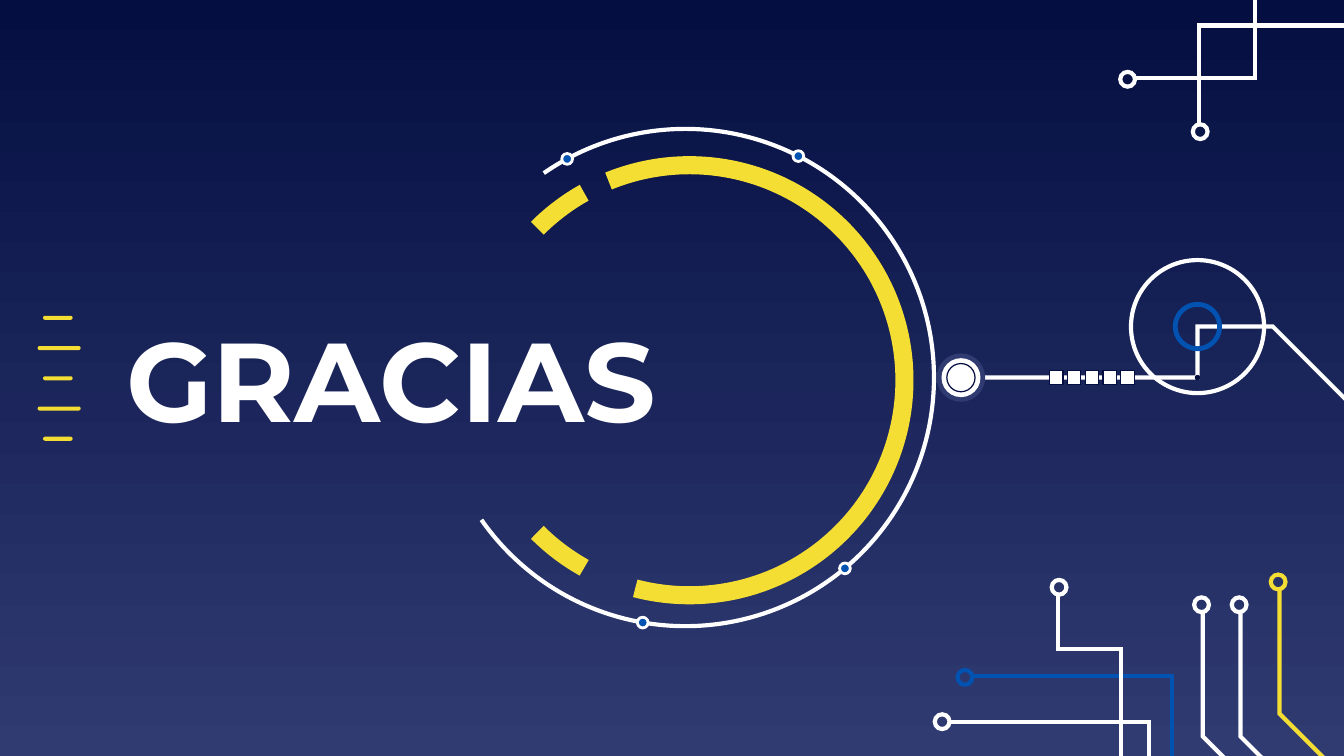
from math import cos, radians, sin

from lxml import etree
from pptx import Presentation
from pptx.dml.color import RGBColor
from pptx.enum.shapes import MSO_SHAPE as Shape
from pptx.enum.text import MSO_ANCHOR as Anchor
from pptx.oxml.ns import qn
from pptx.util import Inches, Pt

THEME = {
    "night": "040E41", "dusk": "303B72", "white": "FFFFFF",
    "yellow": "F5DE34", "blue": "0152B1",
    "font": "Montserrat", "title_size": 60,
    "trace": 2.25, "ring": 9.69, "node": 1.5, "hairline": 0.66,
}

TITLE = "GRACIAS"
TITLE_BOX = (0.84, 1.55, 5.05, 2.52)

# Dashes beside the title: left and width, from top to bottom
SHORT, LONG = (0.32, 0.22), (0.28, 0.32)
DASHES = [SHORT, LONG, SHORT, LONG, SHORT]
DASH_TOP, DASH_BOTTOM, DASH_HEIGHT = 2.35, 3.25, 0.03

# Circuit traces: colour, end ring centre, points of the line
CORNER_TRACES = [
    ("blue", (7.18, 5.04), [(7.24, 5.03), (8.72, 5.03), (8.72, 6.24), (10.2, 6.24)]),
    ("white", (8.39, 0.59), [(8.45, 0.58), (9.34, 0.58), (9.34, -0.52)]),
    ("white", (8.93, 0.98), [(8.92, 0.93), (8.92, 0.19), (10.11, 0.19), (10.11, -0.52)]),
    ("white", (7.01, 5.37), [(7.07, 5.37), (8.55, 5.37), (8.55, 6.57), (10.03, 6.57)]),
    ("white", (7.88, 4.37), [(7.87, 4.42), (7.87, 4.83), (8.34, 4.83), (8.34, 5.94)]),
]
# Bent traces share one outline: colour and end ring centre
BENT_TRACES = [("white", (8.94, 4.5)), ("white", (9.22, 4.5)), ("yellow", (9.51, 4.33))]
BENT_STEPS = [(0.01, 0.05), (0.01, 0.98), (0.45, 1.42), (0.45, 2.15)]
END_RING = 0.11

# Large dial: centre, radius, then clockwise arcs in degrees
RING_CENTRE, RING_RADIUS = (5.13, 2.83), 1.6
RING_ARCS = [(119.3, 135), (247.9, 104.6), (225, 240.7)]
ORBIT_CENTRE, ORBIT_RADIUS = (5.1, 2.81), 1.85
ORBIT_ARC = (235.3, 145.1)
ORBIT_NODES = [297, 241.6, 50.1, 99.9]
NODE_SIZE = 0.08

# Link from the dial to the right edge: centre, size, fill, line, line weight
LINK = [(7.23, 2.81), (8.91, 2.81), (8.91, 2.43), (9.47, 2.43), (10.14, 3.1)]
JOINT, TARGET, HUB = (8.91, 2.81), (8.91, 2.43), (7.15, 2.81)
LINK_CIRCLES = [
    (JOINT, 0.04, "night", None, 0),
    (TARGET, 0.99, None, "white", THEME["trace"]),
    (TARGET, 0.33, None, "blue", 2.57),
    (HUB, 0.36, "dusk", None, 0),
    (HUB, 0.29, "white", None, 0),
    (HUB, 0.21, "white", "night", THEME["hairline"]),
]
CHIP_COUNT, CHIP_LEFT, CHIP_RIGHT, CHIP_TOP, CHIP_SIZE = 5, 7.81, 8.34, 2.76, 0.1

prs = Presentation()
prs.slide_width, prs.slide_height = Inches(10), Inches(10 * 9 / 16)
slide = prs.slides.add_slide(prs.slide_layouts[6])


def colour(name):
    return RGBColor.from_string(THEME[name])


def spread(first, last, count):
    return [first + i * (last - first) / (count - 1) for i in range(count)]


def paint(shape, fill=None, line=None, weight=0):
    shape.shadow.inherit = False
    if fill:
        shape.fill.solid()
        shape.fill.fore_color.rgb = colour(fill)
    else:
        shape.fill.background()
    if line:
        shape.line.color.rgb = colour(line)
        shape.line.width = Pt(weight)
        outline = shape.line.fill._xPr
        etree.SubElement(outline, qn("a:miter"), lim="800000")
    else:
        shape.line.fill.background()
    return shape


def add_preset(kind, left, top, width, height, **style):
    box = [Inches(v) for v in (left, top, width, height)]
    return paint(slide.shapes.add_shape(kind, *box), **style)


def add_round(centre, size, kind=Shape.OVAL, **style):
    x, y = centre
    return add_preset(kind, x - size / 2, y - size / 2, size, size, **style)


def add_arc(centre, radius, angles, line, weight):
    arc = add_round(centre, 2 * radius, Shape.ARC, line=line, weight=weight)
    for i, angle in enumerate(angles):
        arc.adjustments[i] = angle * 0.6  # 60000 steps a degree, over 100000


def add_trace(points, line):
    start, *rest = [(Inches(x), Inches(y)) for x, y in points]
    builder = slide.shapes.build_freeform(*start)
    builder.add_line_segments(rest, close=False)
    paint(builder.convert_to_shape(), line=line, weight=THEME["trace"])


# Background
backdrop = slide.background.fill
backdrop.gradient()
backdrop.gradient_angle = 270
for stop, name, position in zip(backdrop.gradient_stops, ("night", "dusk"), (0, 1)):
    stop.color.rgb = colour(name)
    stop.position = position

# Dashes
for (left, width), top in zip(DASHES, spread(DASH_TOP, DASH_BOTTOM, len(DASHES))):
    dash = add_preset(Shape.ROUNDED_RECTANGLE, left, top, width, DASH_HEIGHT, fill="yellow")
    dash.adjustments[0] = 0.5

# Corner circuits
bent = [(name, (x, y), [(x + dx, y + dy) for dx, dy in BENT_STEPS])
        for name, (x, y) in BENT_TRACES]
for name, end, points in CORNER_TRACES + bent:
    add_trace(points, name)
    add_round(end, END_RING, line=name, weight=THEME["trace"])

# Title
title = slide.shapes.add_textbox(*[Inches(v) for v in TITLE_BOX]).text_frame
title.word_wrap = True
title.vertical_anchor = Anchor.MIDDLE
title.margin_left = title.margin_right = Inches(0.1)
title.margin_top = title.margin_bottom = Inches(0.1)
title.text = TITLE
font = title.paragraphs[0].runs[0].font
font.name, font.size, font.bold = THEME["font"], Pt(THEME["title_size"]), True
font.color.rgb = colour("white")

# Dial
for angles in RING_ARCS:
    add_arc(RING_CENTRE, RING_RADIUS, angles, "yellow", THEME["ring"])
add_arc(ORBIT_CENTRE, ORBIT_RADIUS, ORBIT_ARC, "white", THEME["trace"])
for angle in ORBIT_NODES:
    node = (ORBIT_CENTRE[0] + ORBIT_RADIUS * cos(radians(angle)),
            ORBIT_CENTRE[1] + ORBIT_RADIUS * sin(radians(angle)))
    add_round(node, NODE_SIZE, fill="blue", line="white", weight=THEME["node"])

# Link, its circles and its row of chips
add_trace(LINK, "white")
for centre, size, fill, line, weight in LINK_CIRCLES:
    add_round(centre, size, fill=fill, line=line, weight=weight)
for left in spread(CHIP_LEFT, CHIP_RIGHT, CHIP_COUNT):
    add_preset(Shape.RECTANGLE, left, CHIP_TOP, CHIP_SIZE, CHIP_SIZE,
               fill="white", line="night", weight=THEME["hairline"])

prs.save("out.pptx")
